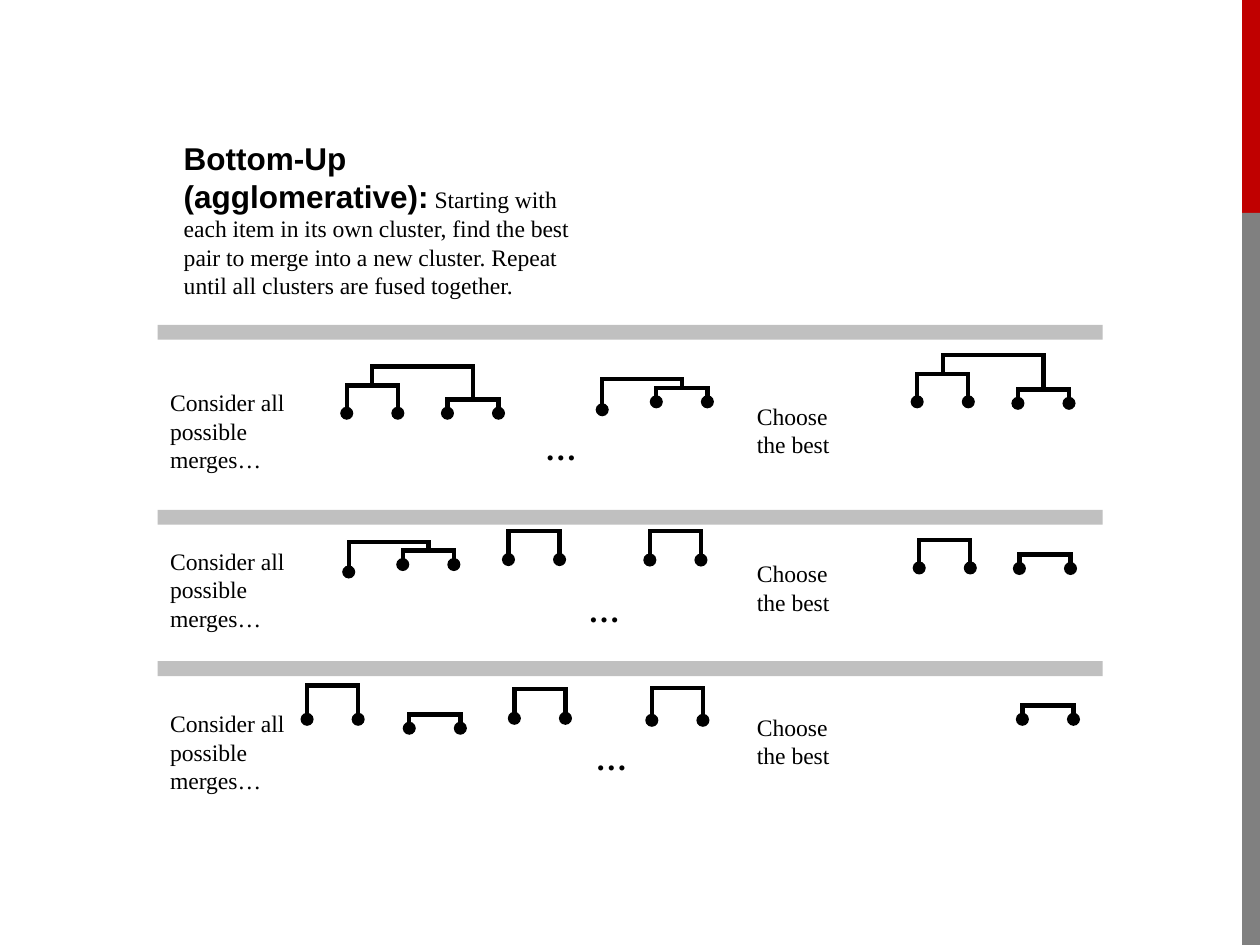
from dataclasses import dataclass

from lxml import etree
from pptx import Presentation
from pptx.dml.color import RGBColor
from pptx.enum import shapes, text
from pptx.oxml.ns import qn
from pptx.util import Cm, Pt


@dataclass(frozen=True)
class Theme:
    ink: RGBColor = RGBColor(0, 0, 0)
    red: RGBColor = RGBColor(0xC0, 0, 0)
    grey: RGBColor = RGBColor(0x80, 0x80, 0x80)
    silver: RGBColor = RGBColor(0xC0, 0xC0, 0xC0)
    head: str = "Arial"
    body: str = "Times New Roman"
    large: Pt = Pt(18)
    small: Pt = Pt(13.5)
    stroke: Pt = Pt(2.5)


T = Theme()
HEADING = {"name": T.head, "size": T.large, "bold": True}
BODY = {"name": T.body, "size": T.small, "bold": False}
DOTS = {"name": T.body, "size": T.large, "bold": True}
PAIR_W = 1.03


def write(sp, box, runs, wrap=True):
    """Place a text shape and fill its one paragraph with (words, font format) runs."""
    sp.left, sp.top, sp.width, sp.height = (Cm(v) for v in box)
    tf = sp.text_frame
    tf.word_wrap = wrap
    tf.auto_size = text.MSO_AUTO_SIZE.SHAPE_TO_FIT_TEXT
    tf.vertical_anchor = text.MSO_ANCHOR.TOP
    p = tf.paragraphs[0]
    p.alignment = text.PP_ALIGN.LEFT
    for words, fmt in runs:
        r = p.add_run()
        r.text = words
        r.font.color.rgb = T.ink
        for key, value in fmt.items():
            setattr(r.font, key, value)


def bracket(group, left, right, top, dots):
    """Join two (x, y) feet under a bar at top; dots says which feet end in an item."""
    legs = [(x, y, x, top, dot) for (x, y), dot in zip((left, right), dots)]
    for x1, y1, x2, y2, dot in legs + [(right[0], top, left[0], top, False)]:
        c = group.shapes.add_connector(
            shapes.MSO_CONNECTOR.STRAIGHT, Cm(x1), Cm(y1), Cm(x2), Cm(y2))
        c.line.color.rgb = T.ink
        c.line.width = T.stroke
        ln = c.line._get_or_add_ln()
        ln.set("cap", "sq")
        if dot:
            etree.SubElement(ln, qn("a:headEnd"), type="oval")
        etree.SubElement(c._element.spPr, qn("a:effectLst"))


prs = Presentation()
prs.slide_width, prs.slide_height = Cm(25.4), Cm(19.05)
s = prs.slides.add_slide(prs.slide_layouts[5])

# Side bands, then the divider above each round
bars = [(25.04, 0, 0.36, 5.59, T.red), (25.04, 4.29, 0.36, 14.76, T.grey)]
bars += [(3.18, y, 19.05, 0.3, T.silver) for y in (6.55, 10.28, 13.33)]
for x, y, w, h, color in bars:
    sp = s.shapes.add_shape(shapes.MSO_SHAPE.RECTANGLE, Cm(x), Cm(y), Cm(w), Cm(h))
    sp.shadow.inherit = False
    sp.fill.solid()
    sp.fill.fore_color.rgb = color
    sp.line.fill.background()

write(s.shapes.title, (3.45, 2.67, 8.84, 3.53), [
    ("Bottom-Up (agglomerative):", HEADING),
    (" Starting with each item in its own cluster, find the best pair to merge into "
     "a new cluster. Repeat until all clusters are fused together.", BODY)])

# Per round: top of "Consider", top of "Choose", left and top of the ellipsis
rounds = [(7.7, 7.98, 10.74, 8.53), (10.9, 11.15, 11.61, 11.79), (14.17, 14.25, 11.76, 14.78)]
for consider_y, choose_y, dots_x, dots_y in rounds:
    labels = [
        ("Consider all possible merges…", (3.18, consider_y, 3.1, 1.98), BODY, True),
        ("Choose the best", (15.01, choose_y, 2.31, 1.42), BODY, True),
        ("…", (dots_x, dots_y, 1.14, 1.02), DOTS, False),
    ]
    for words, box, fmt, wrap in labels:
        write(s.shapes.add_textbox(0, 0, 0, 0), box, [(words, fmt)], wrap)

# Each tree: its pairs (left, foot, bar), a single item (x, foot) or None, top bar or None
trees = [
    ([(6.99, 8.33, 7.77), (9.02, 8.33, 8.05)], None, 7.39),
    ([(13.23, 8.1, 7.82)], (12.14, 8.26), 7.64),
    ([(18.49, 8.1, 7.54), (20.52, 8.13, 7.85)], None, 7.16),
    ([(8.12, 11.38, 11.1)], (7.03, 11.53), 10.92),
    ([(10.25, 11.28, 10.71)], None, None),
    ([(13.1, 11.29, 10.7)], None, None),
    ([(18.53, 11.45, 10.89)], None, None),
    ([(20.55, 11.46, 11.18)], None, None),
    ([(6.19, 14.5, 13.82)], None, None),
    ([(8.25, 14.68, 14.4)], None, None),
    ([(10.37, 14.48, 13.89)], None, None),
    ([(13.14, 14.52, 13.87)], None, None),
    ([(20.61, 14.5, 14.22)], None, None),
]
for pairs, single, top in trees:
    group = s.shapes.add_group_shape()
    for x, foot, bar in pairs:
        bracket(group, (x, foot), (x + PAIR_W, foot), bar, (True, True))
    if top is not None:
        feet = [(x + PAIR_W / 2, bar) for x, foot, bar in pairs]
        left = single or feet[0]
        bracket(group, left, feet[-1], top, (single is not None, False))

prs.save("out.pptx")
